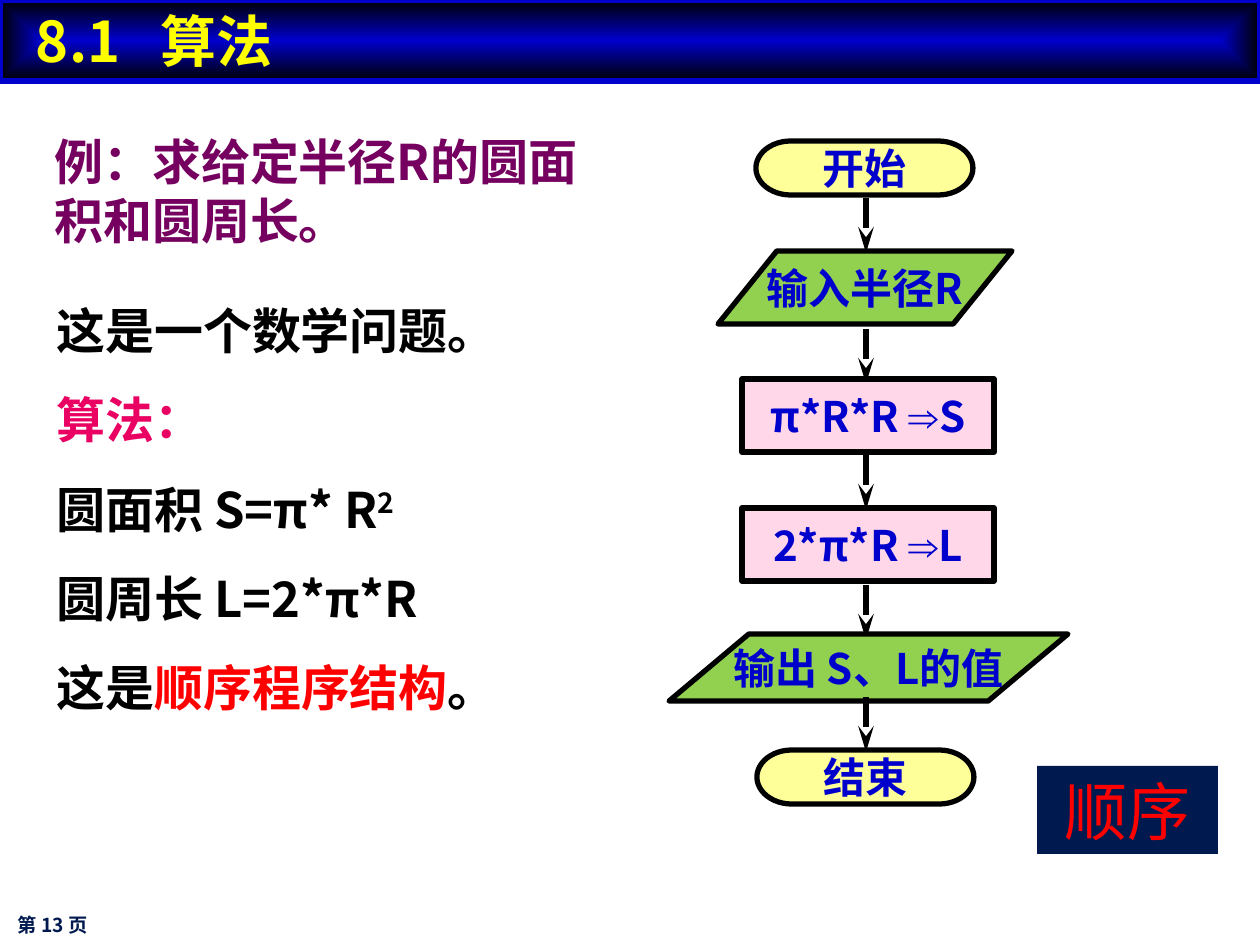
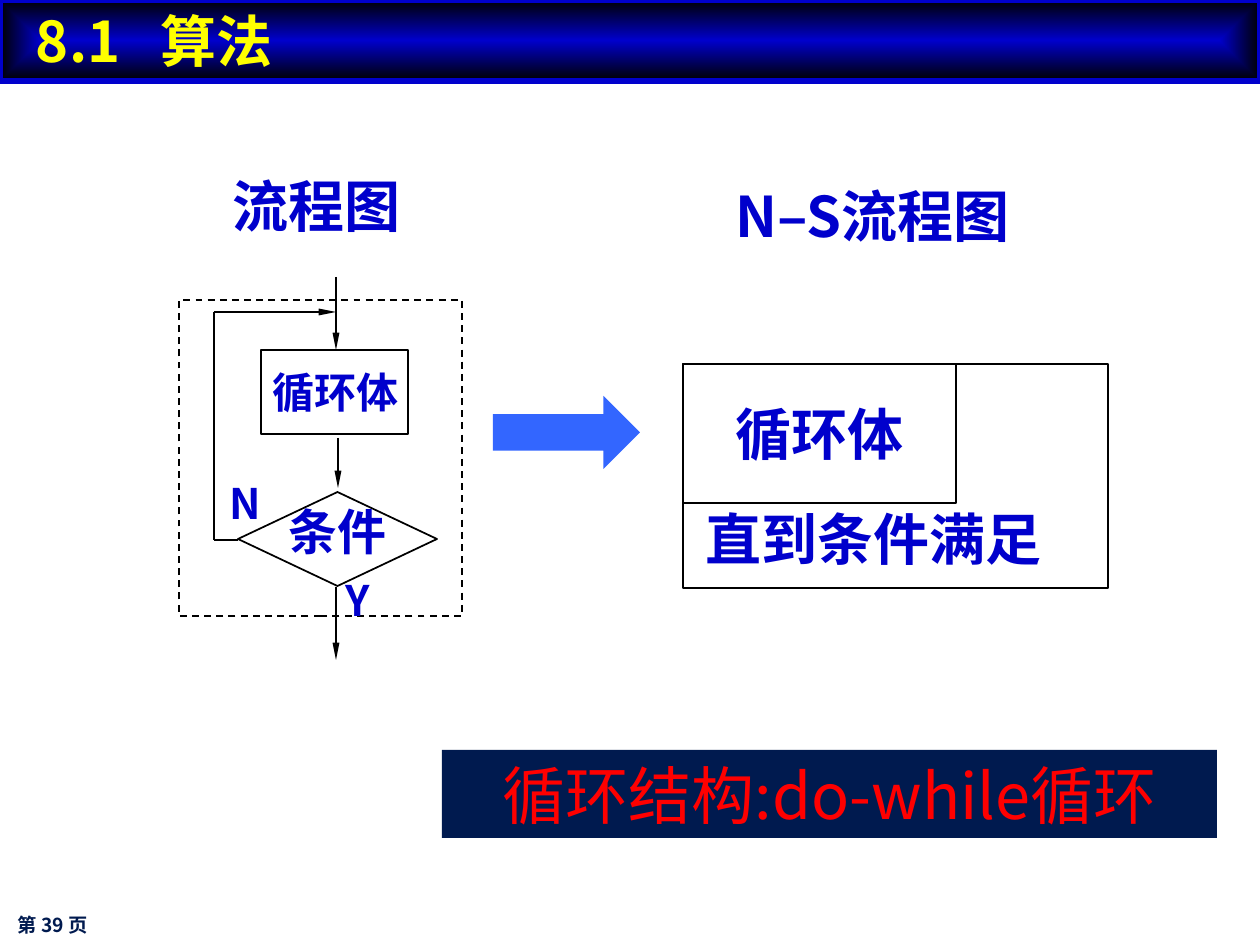
from lxml.etree import SubElement
from pptx import Presentation
from pptx.dml.color import RGBColor
from pptx.enum.dml import MSO_LINE as Dash
from pptx.enum.shapes import MSO_CONNECTOR as Wire, MSO_SHAPE as Form
from pptx.enum.text import MSO_ANCHOR as Anchor, PP_ALIGN as Align
from pptx.oxml.ns import qn
from pptx.util import Pt

PX = 914400 / 126
FONT = "Noto Sans CJK SC"
BLUE, BLACK, RED, NAVY = "0000CC", "000000", "FF0000", "001A4F"
YELLOW, GREEN, PINK = "FFFF99", "92D050", "FFD7E8"
hue = RGBColor.from_string


def add(page, form, at, text="", size=24, ink=BLUE, fill=None, edge=0, bold=True,
        align=Align.LEFT, mid=False, wrap=True, gap=0, font=FONT):
    """Add a shape, or a text box if form is None; | parts runs and a newline parts paragraphs."""
    at = [round(n * PX) for n in at]
    if form is None:
        box = page.shapes.add_textbox(*at)
    else:
        box = page.shapes.add_shape(form, *at)
        box.shadow.inherit = False
        if fill:
            box.fill.solid()
            box.fill.fore_color.rgb = hue(fill)
        else:
            box.fill.background()
        if edge:
            box.line.color.rgb = hue(BLACK)
            box.line.width = Pt(edge)
        else:
            box.line.fill.background()
    frame = box.text_frame
    frame.word_wrap = wrap
    frame.vertical_anchor = Anchor.MIDDLE if mid else Anchor.TOP
    for i, line in enumerate(text.split("\n") if text else []):
        para = frame.add_paragraph() if i else frame.paragraphs[0]
        para.alignment = align
        if i:
            para.space_before = Pt(gap)
        for part in line.split("|"):
            run = para.add_run()
            run.text = part
            run.font.size = Pt(size)
            run.font.bold = bold
            run.font.color.rgb = hue(ink)
            run.font.name = "Arial" if part == "⇒" else font
            SubElement(run.font._element, qn("a:ea"), typeface=run.font.name)
    return box


def link(page, x1, y1, x2, y2, width, head=None, span="med"):
    ends = [round(n * PX) for n in (x1, y1, x2, y2)]
    wire = page.shapes.add_connector(Wire.STRAIGHT, *ends)
    wire.line.color.rgb = hue(BLACK)
    wire.line.width = Pt(width)
    if head:
        SubElement(wire.line._get_or_add_ln(), qn("a:tailEnd"), type=head, w=span, len="lg")
    SubElement(wire._element.spPr, qn("a:effectLst"))


deck = Presentation()
deck.slide_width = round(1260 * PX)
deck.slide_height = round(945 * PX)

# Title band and page number
pages = []
for num in (13, 39):
    page = deck.slides.add_slide(deck.slide_layouts[6])
    pages.append(page)
    band = add(page, Form.RECTANGLE, (0, 0, 1260, 81), "8.1\t算法", 32, "FFFF00",
               fill=BLUE, edge=3, font="Noto Sans CJK JP")
    band.line.color.rgb = hue(BLUE)
    band.fill.gradient()
    for stop, tint in zip(band.fill.gradient_stops, (BLUE, BLACK)):
        stop.color.rgb = hue(tint)
    grad = band._element.spPr.find(qn("a:gradFill"))
    grad.remove(grad.find(qn("a:lin")))
    way = SubElement(grad, qn("a:path"), path="rect")
    SubElement(way, qn("a:fillToRect"), l="50000", t="50000", r="50000", b="50000")
    band.text_frame.margin_left = round(36 * PX)
    tabs = SubElement(band.text_frame.paragraphs[0]._p.get_or_add_pPr(), qn("a:tabLst"))
    SubElement(tabs, qn("a:tab"), pos=str(round(125 * PX)), algn="l")
    add(page, None, (5, 901, 336, 48), f"第 {num} 页", 11, NAVY, mid=True)
first, second = pages

# Sequence: the problem and its steps
add(first, None, (42, 125, 568, 131), "例：求给定半径R的圆面积和圆周长。", 28, "75005F")
body = add(first, None, (44, 294, 627, 430),
           "这是一个数学问题。\n算法：\n圆面积 S=π* R|2\n圆周长 L=2*π*R\n这是|顺序程序结构|。",
           28, BLACK, gap=17.5)
lines = body.text_frame.paragraphs
lines[1].runs[0].font.color.rgb = hue("E90062")
lines[2].runs[1].font._element.set("baseline", "30000")
lines[4].runs[1].font.color.rgb = hue(RED)

# Sequence: flowchart, each step with the top of the arrow that leads to it
ENDS, DATA, WORK = Form.FLOWCHART_TERMINATOR, Form.FLOWCHART_DATA, Form.FLOWCHART_PROCESS
steps = [
    (None, ENDS, YELLOW, (756, 141, 217, 54), "开始"),
    (198, DATA, GREEN, (718, 251, 294, 73), "输入半径R"),
    (329, WORK, PINK, (742, 379, 252, 73), "π*R*R |⇒|S"),
    (455, WORK, PINK, (742, 508, 252, 73), "2*π*R |⇒|L"),
    (585, DATA, GREEN, (669, 634, 399, 67), "输出 S、L的值"),
    (697, ENDS, YELLOW, (757, 750, 217, 54), "结束"),
]
for top, form, fill, at, text in steps:
    if top:
        link(first, 866, top, 866, top + 55, 3, "stealth")
    add(first, form, at, text, fill=fill, edge=3, align=Align.CENTER, mid=True, wrap=False)

# Name of each structure
for page, at, text in ((first, (1037, 766, 181, 88), "顺序"),
                       (second, (442, 750, 775, 88), "循环结构:do-while循环")):
    add(page, Form.RECTANGLE, at, text, 36, RED, NAVY, bold=False,
        align=Align.CENTER, wrap=False)

# Loop: flowchart
add(second, None, (220, 165, 193, 81), "流程图", 32, align=Align.RIGHT, wrap=False)
frame = add(second, Form.RECTANGLE, (179, 300, 283, 316), edge=1)
frame.line.dash_style = Dash.DASH
add(second, Form.RECTANGLE, (261, 350, 147, 84), edge=1)
add(second, Form.FLOWCHART_DECISION, (238, 492, 199, 94), edge=1)
for at, text, size in (((260, 360, 157, 63), "循环体", 24), ((276, 495, 168, 72), "条件", 28),
                       ((217, 471, 53, 63), "N", 24), ((333, 568, 73, 63), "Y", 24)):
    add(second, None, at, text, size)
for ends in ((336, 277, 336, 350), (338, 438, 338, 488), (336, 587, 336, 660),
             (214, 312, 336, 312)):
    link(second, *ends, 1, "triangle", "sm")
for ends in ((238, 540, 214, 540), (214, 540, 214, 312)):
    link(second, *ends, 1)

# Loop: N–S chart
add(second, Form.RIGHT_ARROW, (493, 396, 147, 73), fill="3366FF")
add(second, None, (720, 175, 302, 148), "N–S流程图", 32, align=Align.RIGHT)
add(second, Form.RECTANGLE, (683, 364, 425, 224), edge=1)
add(second, Form.RECTANGLE, (683, 364, 273, 139), "循环体", 32, edge=1,
    align=Align.CENTER, mid=True, wrap=False)
add(second, None, (693, 498, 420, 81), "直到条件满足", 32)

deck.save("out.pptx")
